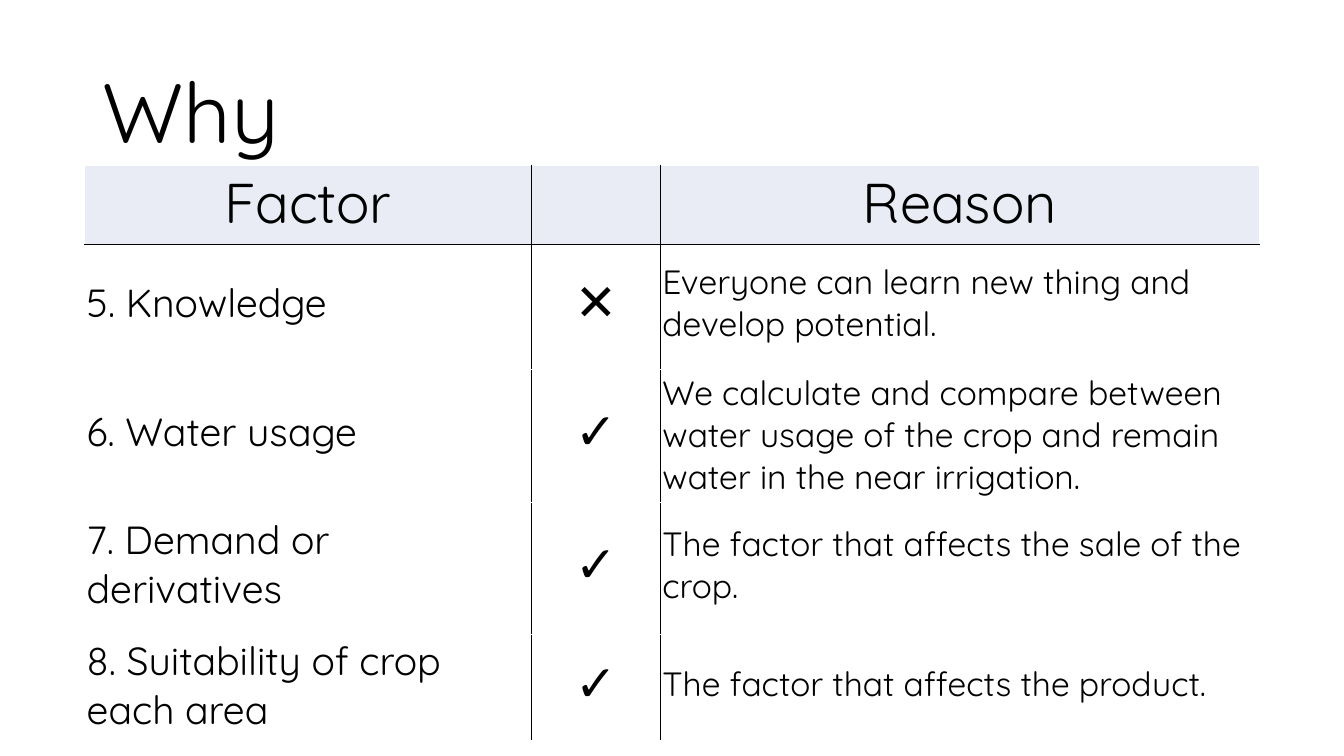
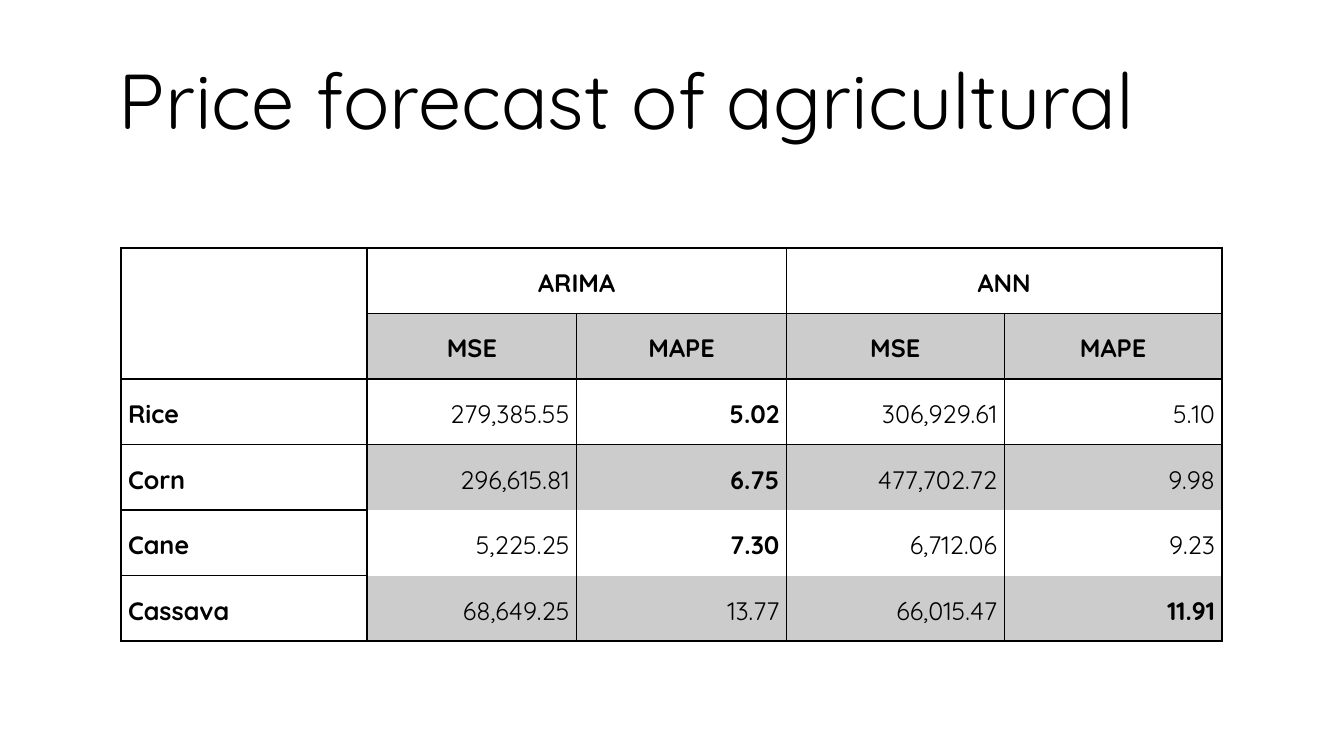
"""Builds two slides on crop factors and crop price forecasts."""
from pptx import Presentation
from pptx.dml.color import RGBColor
from pptx.enum.text import MSO_ANCHOR, PP_ALIGN
from pptx.oxml import parse_xml
from pptx.oxml.ns import nsdecls
from pptx.util import Inches, Pt

COLORS = {"ink": "000000", "paper": "FFFFFF", "header": "E9EBF5", "shade": "CCCCCC"}
FONT = "Quicksand"
SYMBOL_FONT = "Arial"
SIDES = ("L", "R", "T", "B")

FACTORS = [
    ("5. Knowledge", "✕", "Everyone can learn new thing and develop potential."),
    ("6. Water usage", "✓", "We calculate and compare between water usage of the crop "
     "and remain water in the near irrigation."),
    ("7. Demand or derivatives", "✓", "The factor that affects the sale of the crop."),
    ("8. Suitability of crop each area", "✓", "The factor that affects the product."),
]
FORECASTS = [
    ("Rice", "279,385.55", "5.02", "306,929.61", "5.10"),
    ("Corn", "296,615.81", "6.75", "477,702.72", "9.98"),
    ("Cane", "5,225.25", "7.30", "6,712.06", "9.23"),
    ("Cassava", "68,649.25", "13.77", "66,015.47", "11.91"),
]


def style_paragraph(paragraph, text, size, align=PP_ALIGN.LEFT, font=FONT, bold=False, spacing=1.0):
    paragraph.text = text
    paragraph.alignment = align
    paragraph.line_spacing = spacing
    paragraph.font.name = font
    paragraph.font.size = Pt(size)
    paragraph.font.bold = bold
    paragraph.font.color.rgb = RGBColor.from_string(COLORS["ink"])


def add_title(page, text, left, top, size, anchor):
    box = page.shapes.add_textbox(Inches(left), Inches(top), Inches(11.5), Inches(1.45))
    frame = box.text_frame
    frame.word_wrap = True
    frame.vertical_anchor = anchor
    style_paragraph(frame.paragraphs[0], text, size, spacing=0.9)


def add_grid(page, left, top, widths, heights):
    frame = page.shapes.add_table(len(heights), len(widths), Inches(left), Inches(top),
                                  Inches(sum(widths)), Inches(sum(heights)))
    table = frame.table
    table.first_row = table.horz_banding = False
    for column, width in zip(table.columns, widths):
        column.width = Inches(width)
    for row, height in zip(table.rows, heights):
        row.height = Inches(height)
    return table


def style_cell(cell, insets, borders, fill=None):
    """Sets insets (left, top, right, bottom), borders by side, and fill."""
    cell.vertical_anchor = MSO_ANCHOR.MIDDLE
    (cell.margin_left, cell.margin_top,
     cell.margin_right, cell.margin_bottom) = map(Inches, insets)
    properties = cell._tc.get_or_add_tcPr()
    for side in SIDES:
        color = borders.get(side)
        paint = (f'<a:solidFill><a:srgbClr val="{COLORS[color]}"/></a:solidFill>'
                 if color else "<a:noFill/>")
        properties.append(parse_xml(
            f'<a:ln{side} {nsdecls("a")} w="{Pt(1)}">{paint}</a:ln{side}>'))
    if fill:
        cell.fill.solid()
        cell.fill.fore_color.rgb = RGBColor.from_string(COLORS[fill])
    else:
        cell.fill.background()


def add_factor_table(page):
    table = add_grid(page, 0.84, 1.64, (4.43, 1.28, 5.94), (0.72, 1.24, 0.88, 1.31, 0.92))
    columns = [(28, PP_ALIGN.LEFT, FONT), (36, PP_ALIGN.CENTER, SYMBOL_FONT),
               (24, PP_ALIGN.LEFT, FONT)]
    for r, row in enumerate([("Factor", "", "Reason")] + FACTORS):
        for c, text in enumerate(row):
            cell = table.cell(r, c)
            size, align, font = (40, PP_ALIGN.CENTER, FONT) if r == 0 else columns[c]
            style_paragraph(cell.text_frame.paragraphs[0], text, size, align, font)
            borders = {
                "L": "ink" if c > 0 else "paper",
                "R": "ink" if c < 2 else "paper",
                "T": "ink" if r == 1 else "paper",
                "B": "ink" if r == 0 else "paper",
            }
            style_cell(cell, (0.02, 0.02, 0.02, 0.1), borders, "header" if r == 0 else None)


def add_forecast_table(page):
    table = add_grid(page, 1.2, 2.46, (2.44, 2.08, 2.08, 2.16, 2.16), [0.65] * 6)
    headers = [("", "ARIMA", "", "ANN", ""), ("", "MSE", "MAPE", "MSE", "MAPE")]
    open_below = (3, 4)
    for r, row in enumerate(headers + FORECASTS):
        is_header = r < len(headers)
        best = None if is_header else min(row[2], row[4], key=float)
        for c, text in enumerate(row):
            cell = table.cell(r, c)
            align = (PP_ALIGN.CENTER if is_header
                     else PP_ALIGN.RIGHT if c else PP_ALIGN.LEFT)
            style_paragraph(cell.text_frame.paragraphs[0], text, 18, align,
                            bold=is_header or c == 0 or text == best, spacing=1.15)
            borders = dict.fromkeys(SIDES, "ink")
            if c and r in open_below:
                borders["B"] = None
            if c and r - 1 in open_below:
                borders["T"] = None
            style_cell(cell, (0.07, 0, 0.07, 0), borders, "shade" if c and r % 2 else None)
    for first, last in (((0, 0), (1, 0)), ((0, 1), (0, 2)), ((0, 3), (0, 4))):
        table.cell(*first).merge(table.cell(*last))


def main():
    deck = Presentation()
    deck.slide_width, deck.slide_height = Inches(13.33), Inches(7.5)
    blank = deck.slide_layouts[6]

    page = deck.slides.add_slide(blank)
    add_title(page, "Why", 0.92, 0.43, 60, MSO_ANCHOR.MIDDLE)
    add_factor_table(page)

    page = deck.slides.add_slide(blank)
    add_title(page, "Price forecast of agricultural", 1.08, 0.57, 55.5, MSO_ANCHOR.TOP)
    add_forecast_table(page)

    deck.save("out.pptx")


if __name__ == "__main__":
    main()
